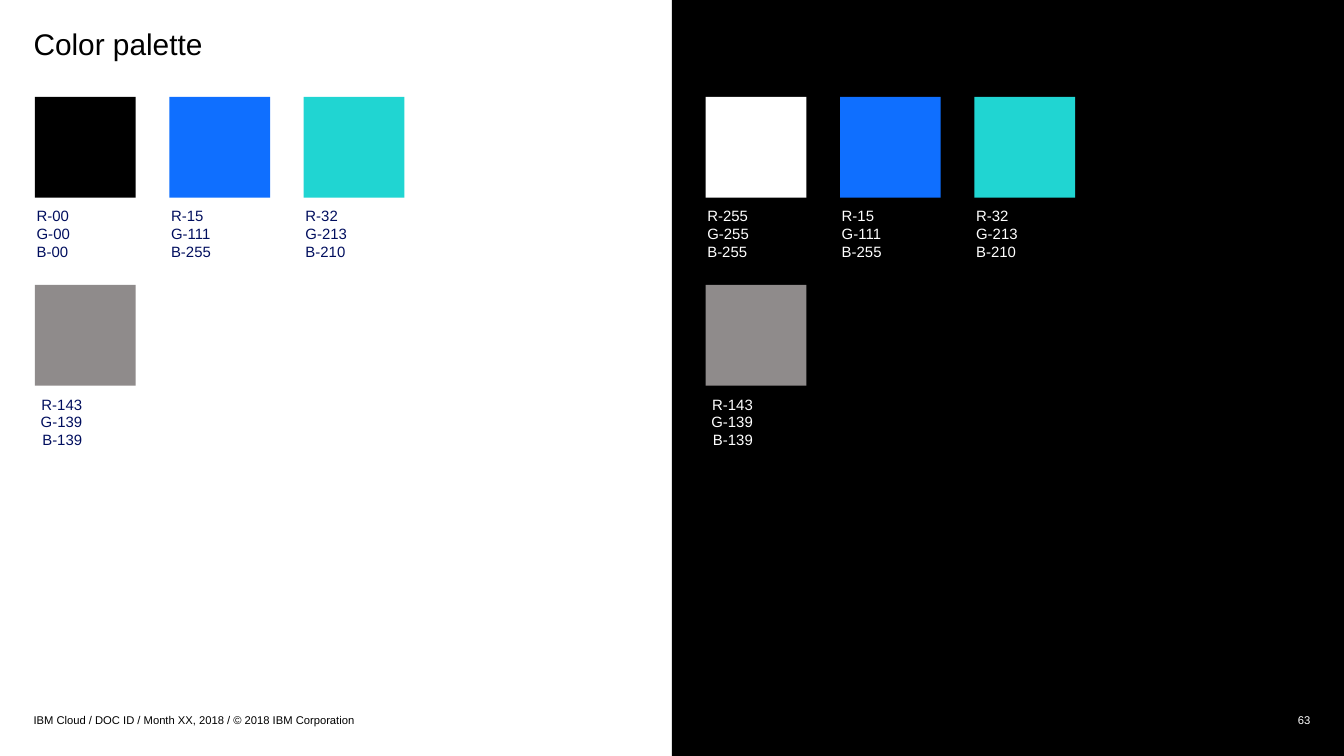
from pptx import Presentation
from pptx.dml.color import RGBColor
from pptx.enum.shapes import MSO_SHAPE
from pptx.enum.text import MSO_ANCHOR, MSO_AUTO_SIZE, PP_ALIGN
from pptx.util import Inches, Pt

BLACK = RGBColor(0x00, 0x00, 0x00)
WHITE = RGBColor(0xFF, 0xFF, 0xFF)
BLUE = RGBColor(0x0F, 0x6F, 0xFF)
TEAL = RGBColor(0x20, 0xD5, 0xD2)
GRAY = RGBColor(0x8F, 0x8B, 0x8B)
NAVY = RGBColor(0x00, 0x0E, 0x5E)

CELL = 0.25  # grid cell in inches: 40 columns by 22.5 rows
COLUMNS, ROWS = 40, 22.5
SWATCH, STEP_X, STEP_Y = 3, 4, 5.6  # swatch size and pitch in cells
TOP, LABEL_DROP = 2.88, 3.28

# Values printed under each swatch
LABELS = {
    BLACK: (0, 0, 0),
    WHITE: (255, 255, 255),
    BLUE: (15, 111, 255),
    TEAL: (32, 213, 210),
    GRAY: (143, 139, 139),
}


def cells(*counts):
    return [Inches(count * CELL) for count in counts]


def apply(target, values):
    for name, value in values.items():
        setattr(target, name, value)


class PaletteSlide:
    """Holds the text style and the current slide."""

    font = "Arial"

    def __init__(self, page):
        self.page = page

    def fill_text(self, box, lines, size, color, align=PP_ALIGN.LEFT,
                  anchor=MSO_ANCHOR.TOP, spacing=1.0, right=0):
        frame = box.text_frame
        frame.text = "\n".join(lines)
        apply(frame, dict(margin_left=0, margin_top=0, margin_bottom=0,
                          margin_right=Inches(right), word_wrap=True,
                          auto_size=MSO_AUTO_SIZE.NONE, vertical_anchor=anchor))
        for para in frame.paragraphs:
            apply(para, dict(alignment=align, line_spacing=spacing))
            for span in para.runs:
                apply(span.font, dict(name=self.font, size=Pt(size)))
                span.font.color.rgb = color

    def title(self, text, area):
        box = self.page.shapes.title
        apply(box, dict(zip(("left", "top", "width", "height"), cells(*area))))
        self.fill_text(box, [text], 16, BLACK, spacing=0.9)

    def text(self, lines, area, size, color, **style):
        box = self.page.shapes.add_textbox(*cells(*area))
        self.fill_text(box, lines, size, color, **style)

    def block(self, area, color):
        shape = self.page.shapes.add_shape(MSO_SHAPE.RECTANGLE, *cells(*area))
        shape.shadow.inherit = False
        shape.fill.solid()
        shape.fill.fore_color.rgb = color
        shape.line.fill.background()

    def swatch(self, left, top, color, label_color, **style):
        self.block((left, top, SWATCH, SWATCH), color)
        lines = [f"{channel}-{value:02d}" for channel, value in zip("RGB", LABELS[color])]
        self.text(lines, (left + 0.05, top + LABEL_DROP, 2.88, 1.68),
                  8, label_color, **style)

    def palette(self, left, first, label_color):
        for index, color in enumerate((first, BLUE, TEAL)):
            self.swatch(left + index * STEP_X, TOP, color, label_color)
        self.swatch(left, TOP + STEP_Y, GRAY, label_color,
                    align=PP_ALIGN.RIGHT, right=0.38)


def main():
    deck = Presentation()
    deck.slide_width, deck.slide_height = cells(COLUMNS, ROWS)
    slide = PaletteSlide(deck.slides.add_slide(deck.slide_layouts[5]))

    # Dark half and title
    slide.block((COLUMNS / 2, 0, COLUMNS / 2, ROWS), BLACK)
    slide.title("Color palette", (1, 0.88, 18, 1.68))

    # Palettes for light and dark backgrounds
    slide.palette(1.04, BLACK, NAVY)
    slide.palette(21, WHITE, WHITE)

    # Footer and page number
    slide.text(["IBM Cloud / DOC ID / Month XX, 2018 / © 2018 IBM Corporation"],
               (1, 21.12, 28, 0.6), 6, BLACK, anchor=MSO_ANCHOR.MIDDLE)
    slide.text(["63"], (30, 21.12, 9, 0.6), 6, WHITE,
               align=PP_ALIGN.RIGHT, anchor=MSO_ANCHOR.MIDDLE)

    deck.save("out.pptx")


if __name__ == "__main__":
    main()
